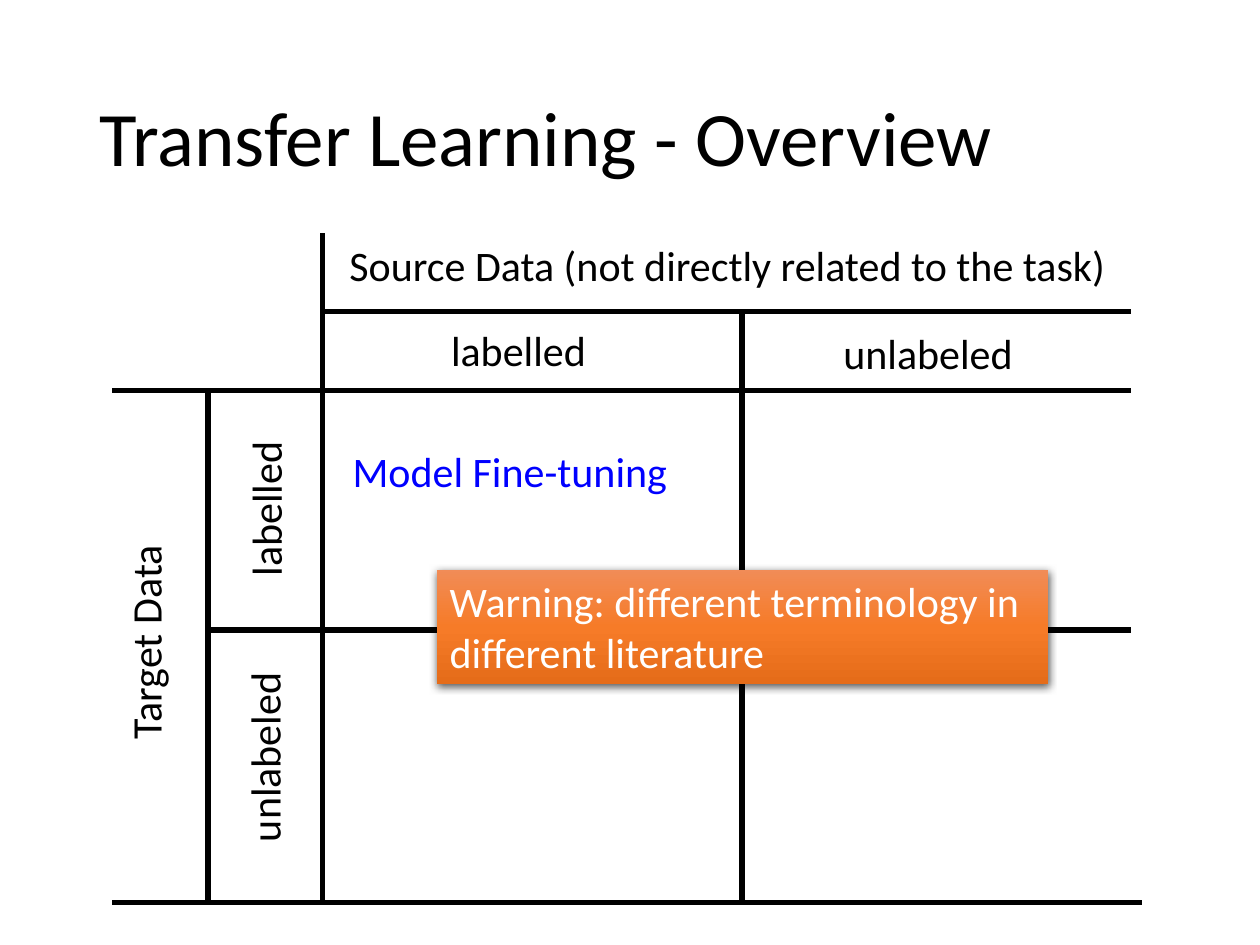
"""Build the transfer learning overview slide."""
from lxml.etree import SubElement
from pptx import Presentation
from pptx.dml.color import RGBColor
from pptx.enum.shapes import MSO_CONNECTOR as Connector, MSO_SHAPE as Shape
from pptx.enum.text import MSO_ANCHOR as Anchor, PP_ALIGN as Align
from pptx.oxml import parse_xml
from pptx.oxml.ns import nsdecls, qn
from pptx.util import Inches, Pt

BLACK = RGBColor(0x00, 0x00, 0x00)
BLUE = RGBColor(0x00, 0x00, 0xFF)
WHITE = RGBColor(0xFF, 0xFF, 0xFF)
ORANGES = {
    0: RGBColor(0xF1, 0x8C, 0x57),
    50: RGBColor(0xF6, 0x7B, 0x28),
    100: RGBColor(0xE5, 0x6C, 0x19),
}

LEFT, RIGHT, BOTTOM = 0.89, 8.98, 7.16
TARGET_X, SOURCE_X, MIDDLE_X = 1.65, 2.56, 5.89
TOP, HEADER_Y, BODY_Y, MIDDLE_Y = 1.85, 2.47, 3.1, 5


def write(box, text, size=24, color=BLACK, align=Align.LEFT, anchor=Anchor.TOP,
          spacing=1.0, font="Calibri"):
    frame = box.text_frame
    frame.word_wrap = True
    frame.vertical_anchor = anchor
    para = frame.paragraphs[0]
    para.alignment = align
    para.line_spacing = spacing
    span = para.add_run()
    span.text = text
    span.font.name = font
    span.font.size = Pt(size)
    span.font.color.rgb = color


class SlideBuilder:
    def __init__(self, page, line_color=BLACK, line_width=3):
        self.shapes = page.shapes
        self.line_color = line_color
        self.line_width = Pt(line_width)

    def text(self, x, y, width, height, text, rotation=0, **style):
        box = self.shapes.add_textbox(
            Inches(x), Inches(y), Inches(width), Inches(height))
        box.rotation = rotation
        write(box, text, **style)

    def label(self, x, y, width, text, rotation=0):
        self.text(x, y, width, 0.5, text, rotation, align=Align.CENTER)

    def line(self, x1, y1, x2, y2):
        rule = self.shapes.add_connector(
            Connector.STRAIGHT, Inches(x1), Inches(y1), Inches(x2), Inches(y2))
        rule.line.color.rgb = self.line_color
        rule.line.width = self.line_width
        SubElement(rule._element.spPr, qn("a:effectLst"))

    def callout(self, x, y, width, height, text, stops, **style):
        box = self.shapes.add_shape(
            Shape.RECTANGLE, Inches(x), Inches(y), Inches(width), Inches(height))
        box.line.fill.background()
        colors = "".join(
            f'<a:gs pos="{place * 1000}"><a:srgbClr val="{color}"/></a:gs>'
            for place, color in stops.items())
        properties = box._element.spPr
        properties.find(qn("a:prstGeom")).addnext(parse_xml(
            f'<a:gradFill {nsdecls("a")} rotWithShape="1"><a:gsLst>{colors}</a:gsLst>'
            '<a:lin ang="5400000" scaled="0"/></a:gradFill>'))
        properties.append(parse_xml(
            f'<a:effectLst {nsdecls("a")}><a:outerShdw blurRad="{Pt(4.5)}" '
            f'dist="{Pt(1.5)}" dir="5400000" algn="ctr" rotWithShape="0">'
            '<a:srgbClr val="000000"><a:alpha val="63000"/></a:srgbClr>'
            '</a:outerShdw></a:effectLst>'))
        write(box, text, **style)


def main():
    deck = Presentation()
    deck.slide_width, deck.slide_height = Inches(10), Inches(7.5)
    builder = SlideBuilder(deck.slides.add_slide(deck.slide_layouts[6]))

    builder.text(0.69, 0.4, 8.62, 1.45, "Transfer Learning - Overview",
                 size=44, anchor=Anchor.MIDDLE, spacing=0.9)

    for x, top in ((TARGET_X, BODY_Y), (SOURCE_X, TOP), (MIDDLE_X, HEADER_Y)):
        builder.line(x, top, x, BOTTOM)
    for left, y, right in ((SOURCE_X, HEADER_Y, RIGHT), (LEFT, BODY_Y, RIGHT),
                           (TARGET_X, MIDDLE_Y, RIGHT), (LEFT, BOTTOM, 9.06)):
        builder.line(left, y, right, y)

    builder.label(SOURCE_X, TOP, 6.5, "Source Data (not directly related to the task) ")
    builder.label(-0.65, 4.81, 3.6, "Target Data ", rotation=270)
    for text, column_x, column_y, row_x, row_y in (
            ("labelled", 3.27, 2.53, 1.26, 3.79),
            ("unlabeled", 6.52, 2.55, 1.25, 5.76)):
        builder.label(column_x, column_y, 1.69, text)
        builder.label(row_x, row_y, 1.69, text, rotation=270)

    builder.text(2.7, 3.49, 2.99, 0.5, "Model Fine-tuning", color=BLUE)
    builder.callout(3.47, 4.52, 4.85, 0.91,
                    "Warning: different terminology in different literature",
                    ORANGES, color=WHITE)
    deck.save("out.pptx")


if __name__ == "__main__":
    main()
